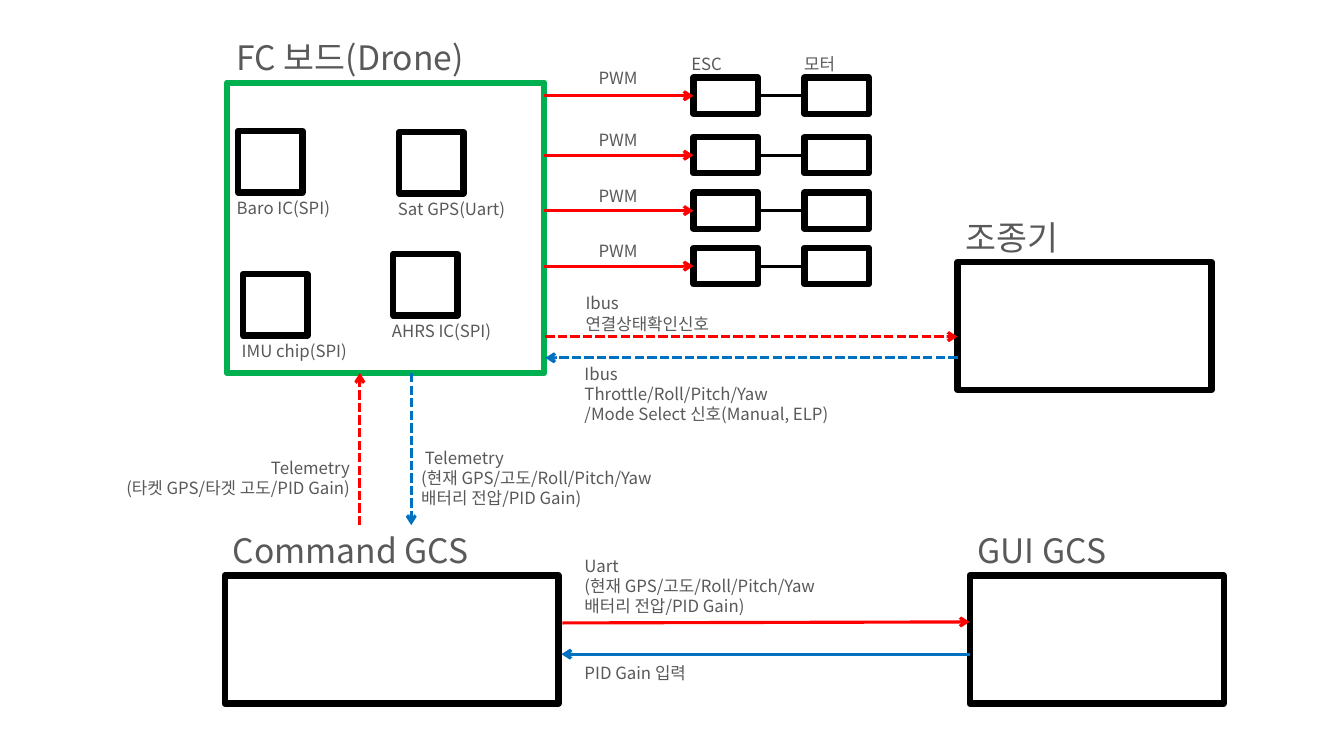
"""Draw the drone system diagram: flight board, motors, controller and ground stations."""
import pptx
import pptx.util
import pptx.dml.color
import pptx.enum.dml
import pptx.enum.shapes
import pptx.enum.text
from pptx.oxml.ns import qn
from lxml import etree

BLACK = pptx.dml.color.RGBColor(0x00, 0x00, 0x00)
GRAY = pptx.dml.color.RGBColor(0x59, 0x59, 0x59)
GREEN = pptx.dml.color.RGBColor(0x00, 0xB0, 0x50)
RED = pptx.dml.color.RGBColor(0xFF, 0x00, 0x00)
BLUE = pptx.dml.color.RGBColor(0x00, 0x70, 0xC0)
FONT = "Noto Sans CJK KR"
LEFT = pptx.enum.text.PP_ALIGN.LEFT
RIGHT = pptx.enum.text.PP_ALIGN.RIGHT
RECT = pptx.enum.shapes.MSO_SHAPE.RECTANGLE
LINE = pptx.enum.shapes.MSO_CONNECTOR.STRAIGHT
DASH = pptx.enum.dml.MSO_LINE.SQUARE_DOT

deck = pptx.Presentation()
deck.slide_width = pptx.util.Inches(13.33)
deck.slide_height = pptx.util.Inches(7.5)
COL = deck.slide_width / 40
ROW = deck.slide_height / 30
slide = deck.slides.add_slide(deck.slide_layouts[6])


def write(text, x, y, wide, size=12, align=LEFT, wrap=True):
    lines = text.split("\n")
    high = pptx.util.Pt(7.2 + size * 1.2 * len(lines))
    label = slide.shapes.add_textbox(int(x * COL), int(y * ROW), int(wide * COL), high)
    frame = label.text_frame
    frame.word_wrap = wrap
    frame.auto_size = pptx.enum.text.MSO_AUTO_SIZE.SHAPE_TO_FIT_TEXT
    for i, line in enumerate(lines):
        para = frame.paragraphs[0] if i == 0 else frame.add_paragraph()
        para.alignment = align
        run = para.add_run()
        run.text = line
        run.font.size = pptx.util.Pt(size)
        run.font.name = FONT
        run.font.color.rgb = GRAY
        etree.SubElement(run.font._element, qn("a:ea"), typeface=FONT)


def link(start, end, color, dash=None, arrow=True):
    wire = slide.shapes.add_connector(
        LINE, int(start[0] * COL), int(start[1] * ROW), int(end[0] * COL), int(end[1] * ROW))
    wire.line.color.rgb = color
    wire.line.width = pptx.util.Pt(2.25)
    if dash:
        wire.line.dash_style = dash
    if arrow:
        etree.SubElement(wire.line._get_or_add_ln(), qn("a:tailEnd"), type="arrow")
    etree.SubElement(wire._element.spPr, qn("a:effectLst"))
    return wire


parts = [
    ("Baro IC(SPI)", 7.08, 5.2),
    ("Sat GPS(Uart)", 11.88, 5.24),
    ("AHRS IC(SPI)", 11.7, 10.08),
    ("IMU chip(SPI)", 7.23, 10.88),
]
units = [
    ("FC 보드(Drone)", 6.75, 3.28, 9.45, 11.52, GREEN, 6.75, 8.94),
    ("Command GCS", 6.69, 22.84, 9.93, 5.08, BLACK, 6.63, 8.73),
    ("GUI GCS", 28.86, 22.84, 7.56, 5.08, BLACK, 28.8, 5.37),
    ("조종기", 28.5, 10.4, 7.56, 5.08, BLACK, 28.44, 3.63),
]
drives = [(3.8, 2.48), (6.16, 4.96), (8.36, 7.16), (10.56, 9.36)]
ESC, MOTOR = 20.64, 23.94

frames = [unit[1:6] for unit in units]
frames += [(x, y, 1.92, 2.44, BLACK) for name, x, y in parts]
frames += [(x, mid - 0.72, 1.92, 1.44, BLACK) for mid, top in drives for x in (ESC, MOTOR)]
boxes = []
for x, y, wide, high, color in frames:
    box = slide.shapes.add_shape(
        RECT, int(x * COL), int(y * ROW), int(wide * COL), int(high * ROW))
    box.shadow.inherit = False
    box.fill.background()
    box.line.color.rgb = color
    box.line.width = pptx.util.Pt(4.5)
    boxes.append(box)

for name, x, y, wide, high, color, left, span in units:
    write(name, left, y - 2, span, size=24, wrap=False)
for name, x, y in parts:
    write(name, x - 0.33, y + 2.44, 5)

pairs = boxes[len(units) + len(parts):]
for (mid, top), esc, motor in zip(drives, pairs[::2], pairs[1::2]):
    write("PWM", 17.52, top, 2.19)
    link((16.2, mid), (ESC, mid), RED).end_connect(esc, 1)
    shaft = link((ESC + 1.92, mid), (MOTOR, mid), BLACK, arrow=False)
    shaft.begin_connect(esc, 3)
    shaft.end_connect(motor, 1)

link((10.71, 20.84), (10.71, 14.8), RED, DASH)
link((12.24, 14.8), (12.24, 20.84), BLUE, DASH)
link((16.23, 13.36), (28.5, 13.36), RED, DASH)
link((28.5, 14.2), (16.23, 14.2), BLUE, DASH)
link((16.74, 24.72), (28.86, 24.68), RED)
link((28.86, 25.96), (16.71, 25.96), BLUE)

STATE = "(현재 GPS/고도/Roll/Pitch/Yaw\n배터리 전압/PID Gain)"
write("ESC", 20.28, 1.92, 1.77)
write("모터", 23.64, 1.92, 2.49)
write("Ibus\n연결상태확인신호", 17.13, 11.44, 10.92)
write("Ibus\nThrottle/Roll/Pitch/Yaw\n/Mode Select 신호(Manual, ELP)", 17.1, 14.24, 10.92)
write(" Telemetry\n" + STATE, 12.24, 17.56, 10.92)
write(" Telemetry\n(타켓 GPS/타겟 고도/PID Gain)", 0, 17.96, 10.71, align=RIGHT)
write("Uart\n" + STATE, 17.1, 21.84, 10.92)
write("PID Gain 입력", 17.1, 26.12, 11.34)

deck.save("out.pptx")
